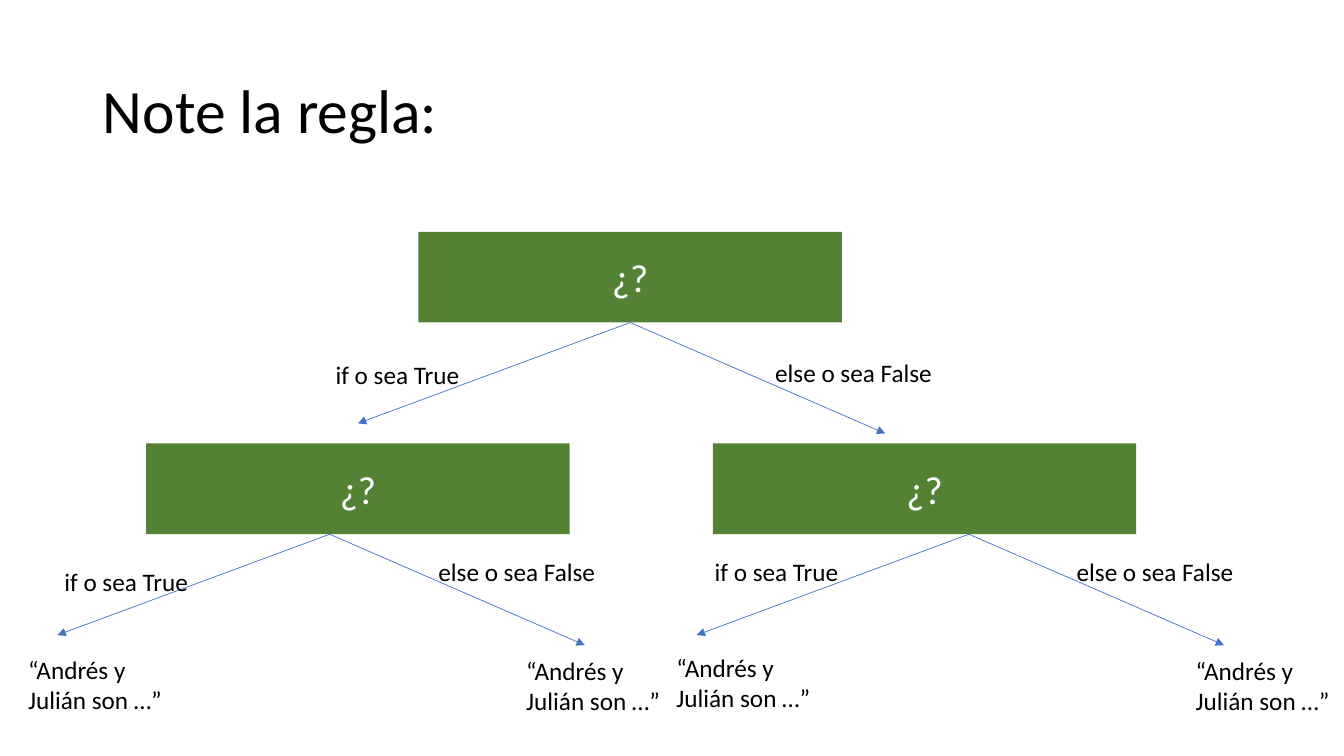
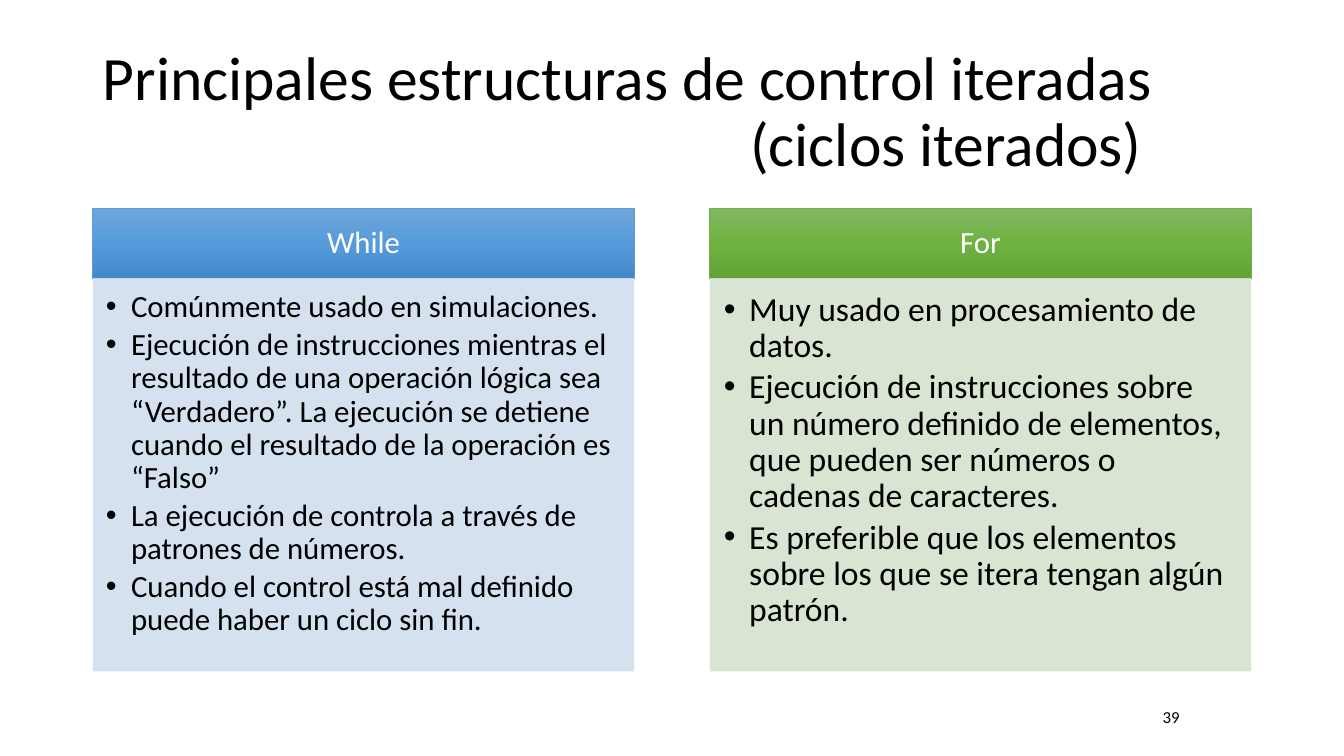
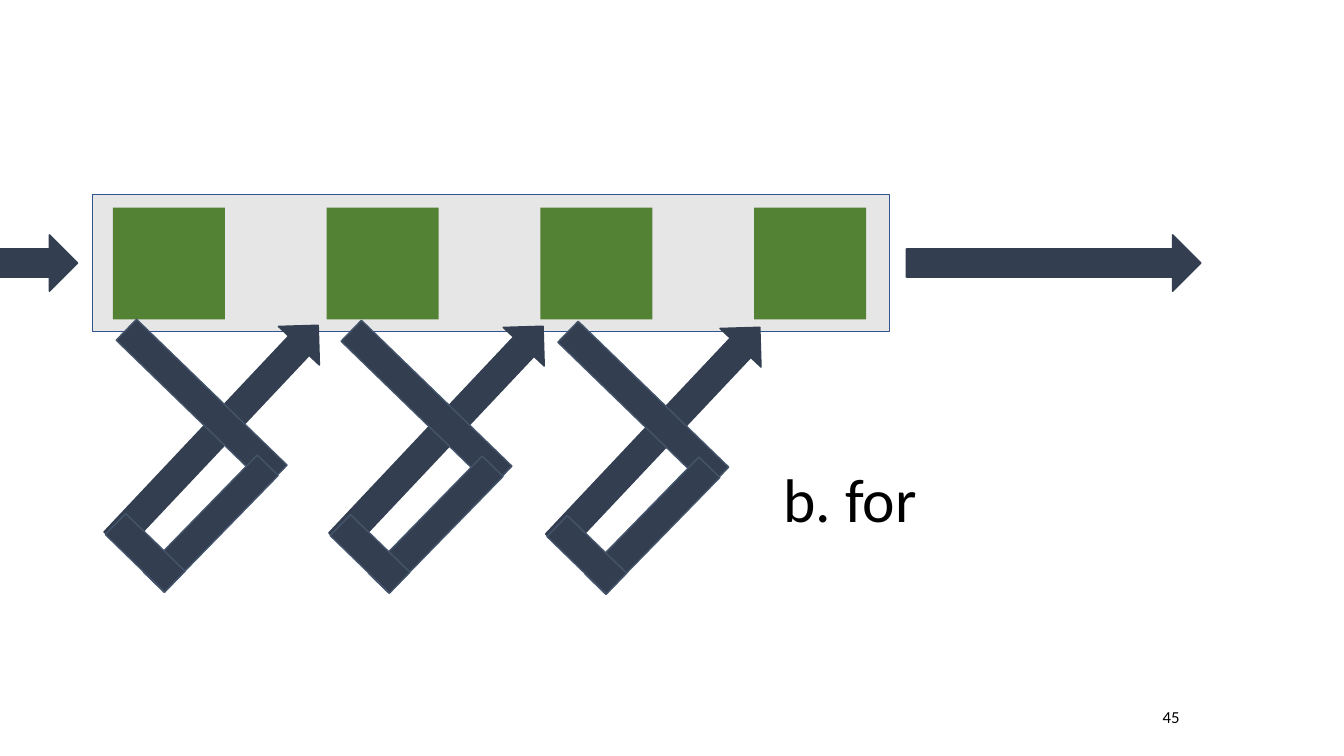
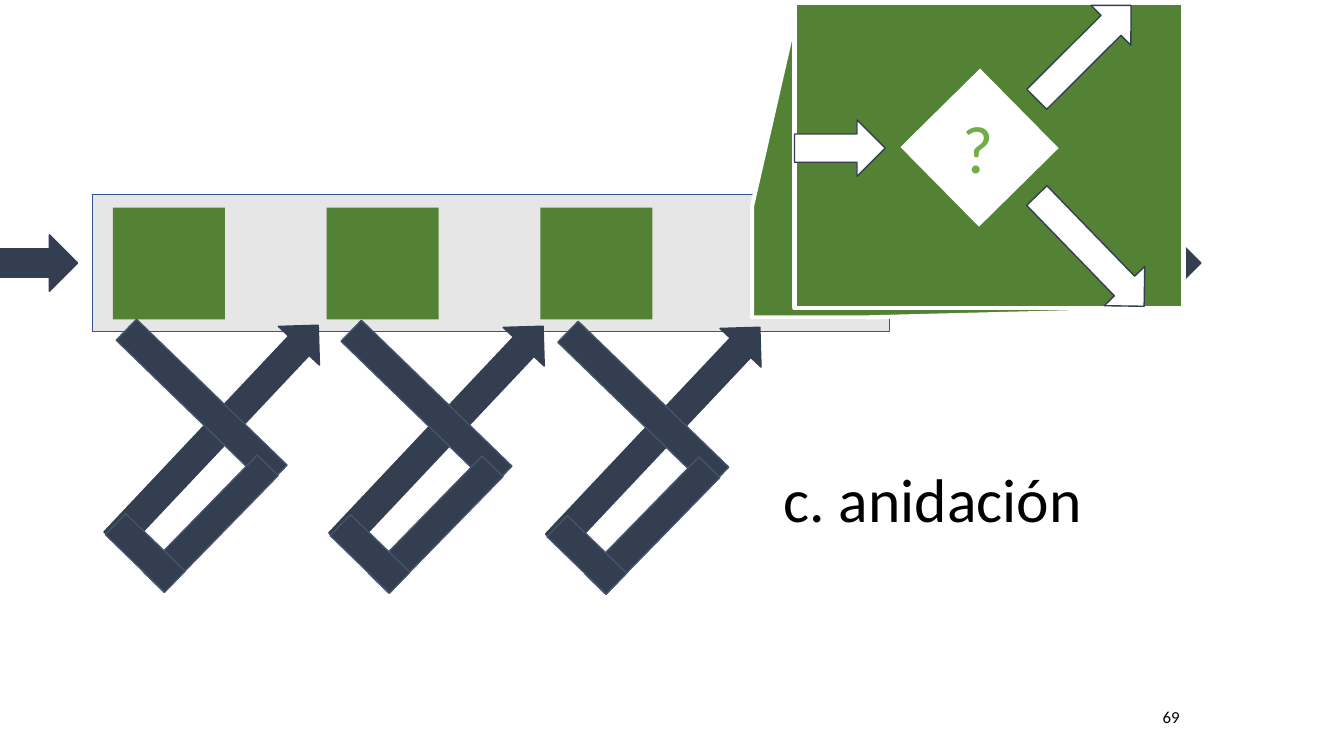
from copy import deepcopy

from lxml import etree
from pptx import Presentation
from pptx.dml.color import RGBColor
from pptx.enum.shapes import MSO_CONNECTOR, MSO_SHAPE
from pptx.enum.text import MSO_ANCHOR, MSO_AUTO_SIZE, PP_ALIGN
from pptx.oxml.ns import qn
from pptx.util import Inches, Pt

RECTANGLE, ARROW = MSO_SHAPE.RECTANGLE, MSO_SHAPE.RIGHT_ARROW
STRAIGHT = MSO_CONNECTOR.STRAIGHT
LEFT, CENTER = PP_ALIGN.LEFT, PP_ALIGN.CENTER
TOP, MIDDLE = MSO_ANCHOR.TOP, MSO_ANCHOR.MIDDLE

FONT = "Calibri"
BLACK, WHITE, GREEN, LIGHT_GREEN = "000000", "FFFFFF", "548235", "70AD47"
NAVY, SLATE, BLUE = "333F50", "44546A", "4472C4"
BAND_FILL, BAND_LINE = "E7E6E6", "325491"
color = RGBColor.from_string


def write_text(shape, text, size=18, ink=BLACK, align=LEFT, anchor=TOP,
               line_spacing=1.0, space_after=0, insets=(0.1, 0.05, 0.1, 0.05),
               indents=None):
    """Fill a shape with one paragraph a line; indents holds (left, first) pairs."""
    frame = shape.text_frame
    frame.text = text
    frame.word_wrap = True
    frame.auto_size = MSO_AUTO_SIZE.NONE
    frame.vertical_anchor = anchor
    (frame.margin_left, frame.margin_top,
     frame.margin_right, frame.margin_bottom) = [Inches(inset) for inset in insets]
    for index, paragraph in enumerate(frame.paragraphs):
        paragraph.alignment = align
        paragraph.line_spacing = line_spacing
        paragraph.space_before = Pt(0)
        paragraph.space_after = Pt(space_after)
        paragraph.font.name = FONT
        paragraph.font.size = Pt(size)
        paragraph.font.bold = False
        paragraph.font.color.rgb = color(ink)
        if indents:
            left, first = indents[index]
            properties = paragraph._p.get_or_add_pPr()
            properties.set("marL", str(Inches(left)))
            properties.set("indent", str(Inches(first)))


def add_box(slide, preset, box, fill, line=None, rotation=0):
    shape = slide.shapes.add_shape(preset, *[Inches(length) for length in box])
    shape.shadow.inherit = False
    shape.rotation = rotation
    shape.fill.solid()
    shape.fill.fore_color.rgb = color(fill)
    if line:
        shape.line.color.rgb = color(line)
        shape.line.width = Pt(1)
    else:
        shape.line.fill.background()
    return shape


presentation = Presentation()
presentation.slide_width, presentation.slide_height = Inches(13.33), Inches(7.5)
COMPARISON, TITLE_ONLY = presentation.slide_layouts[4], presentation.slide_layouts[5]

# Slides with their titles and page numbers
CORNER_TITLE = (7.67, 3.41, 5.4, 3.16)
outline = [
    (TITLE_ONLY, "Note la regla:", (0.92, 0.4, 12.3, 1.45), None, None),
    (COMPARISON, "Principales estructuras de control iteradas\n(ciclos iterados)",
     (0.92, 0.4, 11.5, 1.45), [(0, 0), (6.42, 0)], "39"),
    (TITLE_ONLY, "b. for", CORNER_TITLE, None, "45"),
    (TITLE_ONLY, "c. anidación", CORNER_TITLE, None, "69"),
]
slides = []
for layout, title_text, box, indents, number in outline:
    slide = presentation.slides.add_slide(layout)
    slides.append(slide)
    title = slide.shapes.title
    title.left, title.top, title.width, title.height = [Inches(length) for length in box]
    write_text(title, title_text, size=44, anchor=MIDDLE, line_spacing=0.9, indents=indents)
    if number:
        page_number = slide.shapes.add_textbox(
            Inches(11.27), Inches(6.84), Inches(0.69), Inches(0.54))
        write_text(page_number, number, size=12, align=CENTER, anchor=MIDDLE)
tree_slide, loops_slide, for_slide, nesting_slide = slides

# Decision tree: questions
questions = []
for left, top in [(4.15, 2.3), (1.45, 4.4), (7.07, 4.4)]:
    question = add_box(tree_slide, RECTANGLE, (left, top, 4.2, 0.9), GREEN)
    write_text(question, "¿?", size=28, ink=WHITE, align=CENTER, anchor=MIDDLE)
    questions.append(question)

# Decision tree: a pair of arrows below each question
for question, (x, y) in zip(questions, [(6.25, 3.2), (3.27, 5.3), (9.61, 5.3)]):
    for across, down in [(-2.7, 1), (2.53, 1.1)]:
        branch = tree_slide.shapes.add_connector(
            STRAIGHT, Inches(x), Inches(y), Inches(x + across), Inches(y + down))
        if question is questions[0]:
            branch.begin_connect(question, 2)
        branch.line.color.rgb = color(BLUE)
        branch.line.width = Pt(0.5)
        properties = branch.element.spPr
        etree.SubElement(properties.find(qn("a:ln")), qn("a:tailEnd"), type="triangle")
        etree.SubElement(properties, qn("a:effectLst"))

# Decision tree: branch labels and results
label_groups = [
    ("if o sea True", 2.38, 0.4, [(3.23, 3.52), (0.54, 5.57), (6.99, 5.47)]),
    ("else o sea False", 2.38, 0.4, [(7.59, 3.5), (4.25, 5.47), (10.58, 5.47)]),
    ("“Andrés y Julián son …”", 1.79, 0.71,
     [(0.18, 6.44), (5.12, 6.45), (6.61, 6.42), (11.76, 6.45)]),
]
for label_text, width, height, places in label_groups:
    for left, top in places:
        label = tree_slide.shapes.add_textbox(
            Inches(left), Inches(top), Inches(width), Inches(height))
        write_text(label, label_text)

# Loop comparison: heading and list in each column
columns = [
    (0.92, "While", ["71A6DB", "559BDB", "448ACA"], "5B9BD5", "D2DEEF", 22,
     (0.13, 0.13, 0.17, 0.19),
     ["Comúnmente usado en simulaciones.",
      "Ejecución de instrucciones mientras el resultado de una operación lógica sea "
      "“Verdadero”. La ejecución se detiene cuando el resultado de la operación es “Falso”",
      "La ejecución de controla a través de patrones de números.",
      "Cuando el control está mal definido puede haber un ciclo sin fin."]),
    (7.04, "For", ["81B861", "6FB242", "62A336"], LIGHT_GREEN, "D5E3CF", 24,
     (0.14, 0.14, 0.19, 0.21),
     ["Muy usado en procesamiento de datos.",
      "Ejecución de instrucciones sobre un número definido de elementos, "
      "que pueden ser números o cadenas de caracteres.",
      "Es preferible que los elementos sobre los que se itera tengan algún patrón."]),
]
body_placeholders = list(loops_slide.placeholders)[1:]
for index, (left, name, shades, edge, tint, size, insets, points) in enumerate(columns):
    heading, panel = body_placeholders[2 * index:2 * index + 2]
    for shape, top, height in [(heading, 2.07, 0.69), (panel, 2.76, 3.9)]:
        shape.left, shape.top = Inches(left), Inches(top)
        shape.width, shape.height = Inches(5.37), Inches(height)

    heading.fill.gradient()
    heading.fill.gradient_angle = 270
    stop_list = heading.element.spPr.find(qn("a:gradFill")).find(qn("a:gsLst"))
    stop_list.append(deepcopy(stop_list[-1]))
    stop_list[1].set("pos", "50000")
    for stop, shade in zip(heading.fill.gradient_stops, shades):
        stop.color.rgb = color(shade)
    heading.line.color.rgb = color(edge)
    heading.line.width = Pt(0.5)
    write_text(heading, name, size=22, ink=WHITE, align=CENTER, anchor=MIDDLE,
               line_spacing=0.9, insets=(0.17, 0.1, 0.17, 0.1))

    panel.fill.solid()
    panel.fill.fore_color.rgb = color(tint)
    panel_color = panel.element.spPr.find(qn("a:solidFill"))[0]
    etree.SubElement(panel_color, qn("a:alpha"), val="90000")
    write_text(panel, "\n".join(points), size=size, line_spacing=0.9,
               space_after=0.15 * size, insets=insets,
               indents=[(0.25, -0.25)] * len(points))

# Iteration diagram, shared by the last two slides
for slide in (for_slide, nesting_slide):
    add_box(slide, RECTANGLE, (0.92, 1.93, 7.9, 1.36), BAND_FILL, BAND_LINE)
    for left, width in [(0, 0.77), (8.99, 2.92)]:
        add_box(slide, ARROW, (left, 2.33, width, 0.56), NAVY, NAVY)
    for step in range(4):
        add_box(slide, RECTANGLE, (1.12 + 2.12 * step, 2.06, 1.11, 1.11), GREEN)
    for across, down in [(0, 0), (2.23, 0.01), (4.38, 0.02)]:
        for preset, left, top, width, height, rotation, edge in [
            (ARROW, 0.67, 4.02, 2.95, 0.56, 313.3, NAVY),
            (RECTANGLE, 0.96, 3.85, 2.08, 0.29, 44.1, SLATE),
            (RECTANGLE, 1.28, 5.05, 1.62, 0.29, 134.3, SLATE),
            (RECTANGLE, 1.03, 5.34, 0.82, 0.29, 44.1, SLATE),
        ]:
            add_box(slide, preset, (left + across, top + down, width, height),
                    NAVY, edge, rotation)

# Nested condition: the last square enlarged
builder = nesting_slide.shapes.build_freeform(Inches(8.56), Inches(3.15))
builder.add_line_segments(
    [(Inches(x), Inches(y)) for x, y in
     [(11.74, 3.07), (7.91, 0.07), (7.46, 2.04), (7.46, 3.15)]], close=True)
zoom = builder.convert_to_shape()
zoom.shadow.inherit = False
zoom.fill.solid()
zoom.fill.fore_color.rgb = color(GREEN)
enlarged_square = add_box(nesting_slide, RECTANGLE, (7.88, 0.03, 3.86, 3.03), GREEN)
for shape in (zoom, enlarged_square):
    shape.line.color.rgb = color(WHITE)
    shape.line.width = Pt(3)
for left, top, width, rotation in [
    (7.88, 1.19, 0.9, 0), (10.09, 0.24, 1.32, 315.1), (10.05, 2.21, 1.53, 45.9),
]:
    add_box(nesting_slide, ARROW, (left, top, width, 0.56), WHITE, NAVY, rotation)
add_box(nesting_slide, RECTANGLE, (9.16, 0.91, 1.11, 1.11), WHITE, rotation=45.4)
question_mark = nesting_slide.shapes.add_textbox(
    Inches(9.45), Inches(1.01), Inches(0.88), Inches(0.91))
write_text(question_mark, "?", size=48, ink=LIGHT_GREEN)

presentation.save("out.pptx")
